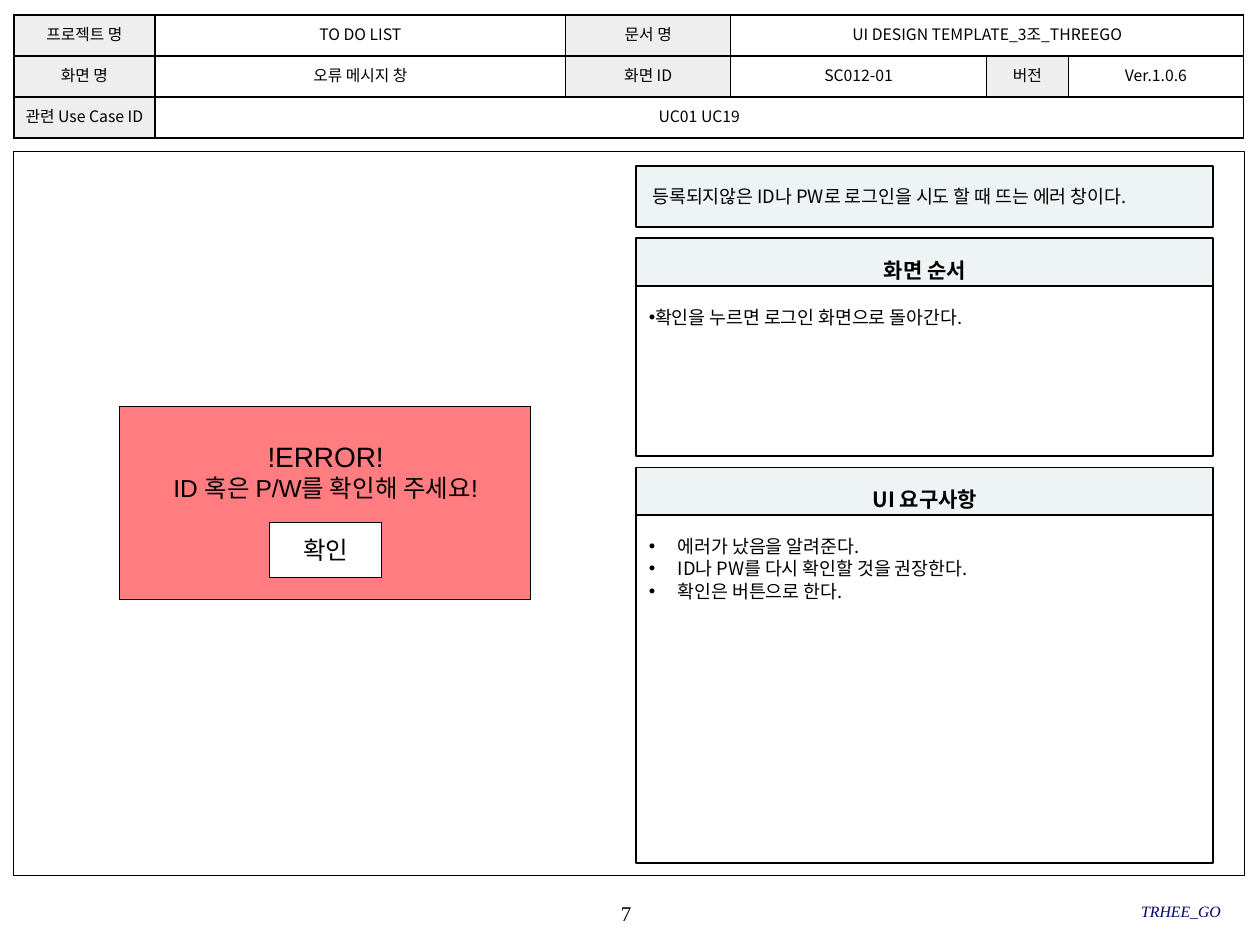
"""Build the UI design sheet for the login error message window."""
from dataclasses import dataclass

from lxml import etree
from pptx import Presentation
from pptx.dml.color import RGBColor
from pptx.enum import shapes, text
from pptx.oxml import ns
from pptx.util import Inches, Pt


@dataclass(frozen=True)
class Theme:
    black: str = "000000"
    white: str = "FFFFFF"
    label: str = "EEEEEE"
    header: str = "EEF4F4"
    error: str = "FF7C80"
    footer: str = "000066"
    korean: str = "Noto Sans CJK KR"
    latin: str = "Arial"
    serif: str = "Times New Roman"
    small: float = 9
    body: float = 10.5
    heading: float = 12
    button: float = 14
    alert: float = 16


theme = Theme()
align = text.PP_ALIGN
anchor = text.MSO_ANCHOR


def write(frame, lines, size, font=theme.korean, color=theme.black, alignment=align.CENTER,
          vertical=anchor.MIDDLE, margins=(0.1, 0.05, 0.1, 0.05), bold=False, italic=False):
    frame.text = "\n".join(lines)
    frame.word_wrap = True
    frame.auto_size = text.MSO_AUTO_SIZE.NONE
    frame.vertical_anchor = vertical
    frame.margin_left, frame.margin_top, frame.margin_right, frame.margin_bottom = map(Inches, margins)
    for paragraph in frame.paragraphs:
        paragraph.alignment = alignment
        paragraph.space_before = Pt(0)
        paragraph.line_spacing = Pt(1.2 * size)
        paragraph.font.size = Pt(size)
        paragraph.font.bold = bold
        paragraph.font.italic = italic
        paragraph.font.color.rgb = RGBColor.from_string(color)
        paragraph.font.name = font
        properties = paragraph._p.pPr.find(ns.qn("a:defRPr"))
        etree.SubElement(properties, ns.qn("a:ea"), typeface=theme.korean)


def paint(shape, fill, width):
    if fill:
        shape.fill.solid()
        shape.fill.fore_color.rgb = RGBColor.from_string(fill)
    else:
        shape.fill.background()
    shape.line.color.rgb = RGBColor.from_string(theme.black)
    shape.line.width = Pt(width)


presentation = Presentation()
presentation.slide_width = Inches(10)
presentation.slide_height = Inches(7.5)
slide = presentation.slides.add_slide(presentation.slide_layouts.get_by_name("Comparison"))
placeholders = {shape.placeholder_format.idx: shape for shape in slide.placeholders}

panel_left, panel_width, header_height = 5.05, 4.58, 0.38
header_margins = (0.1, 0.15, 0.1, 0.05)
list_margins = (0.1, 0.16, 0.1, 0.05)

description = placeholders[0]
description.left, description.top = Inches(panel_left), Inches(1.32)
description.width, description.height = Inches(panel_width), Inches(0.48)
paint(description, theme.header, 1)
write(description.text_frame, ["등록되지않은 ID나 PW로 로그인을 시도 할 때 뜨는 에러 창이다."], theme.body,
      alignment=align.JUSTIFY, vertical=anchor.TOP, margins=(0.13, 0.15, 0.1, 0.05))

panels = [
    (1, 1.89, 1.35, 0, "화면 순서", ["확인을 누르면 로그인 화면으로 돌아간다."]),
    (3, 3.71, 2.76, 0.23, "UI 요구사항",
     ["에러가 났음을 알려준다.", "ID나 PW를 다시 확인할 것을 권장한다.", "확인은 버튼으로 한다."]),
]
for index, top, list_height, indent, heading, items in panels:
    header, content = placeholders[index], placeholders[index + 1]
    places = [(header, top, header_height, theme.header),
              (content, top + header_height, list_height, theme.white)]
    for shape, shape_top, height, fill in places:
        shape.left, shape.top = Inches(panel_left), Inches(shape_top)
        shape.width, shape.height = Inches(panel_width), Inches(height)
        paint(shape, fill, 1)
    write(header.text_frame, [heading], theme.heading, vertical=anchor.TOP,
          margins=header_margins, bold=True)
    write(content.text_frame, items, theme.body, alignment=align.JUSTIFY,
          vertical=anchor.TOP, margins=list_margins)
    for paragraph in content.text_frame.paragraphs:
        properties = paragraph._p.get_or_add_pPr()
        properties.set("marL", str(Inches(indent)))
        properties.set("indent", str(-Inches(indent)))

boxes = [
    ((0.11, 1.2, 9.77, 5.75), None, 0.75, None),
    ((0.95, 3.23, 3.26, 1.53), theme.error, 0.5, None),
    ((2.14, 4.15, 0.89, 0.43), theme.white, 0.5, "확인"),
]
for place, fill, width, caption in boxes:
    box = slide.shapes.add_shape(shapes.MSO_SHAPE.RECTANGLE, *map(Inches, place))
    box.shadow.inherit = False
    paint(box, fill, width)
    if caption:
        write(box.text_frame, [caption], theme.button)

message = slide.shapes.add_textbox(Inches(1.11), Inches(3.44), Inches(2.95), Inches(0.61))
write(message.text_frame, ["!ERROR!", "ID 혹은 P/W를 확인해 주세요!"], theme.button,
      theme.latin, vertical=anchor.TOP)
alert = message.text_frame.paragraphs[0]
alert.font.size = Pt(theme.alert)
alert.line_spacing = Pt(1.2 * theme.alert)

page_number = slide.shapes.add_textbox(Inches(3.93), Inches(7.08), Inches(2.08), Inches(0.33))
write(page_number.text_frame, ["7"], theme.heading, theme.serif, margins=(0, 0, 0, 0))
team = slide.shapes.add_textbox(Inches(6.63), Inches(7.07), Inches(3.06), Inches(0.33))
write(team.text_frame, ["TRHEE_GO"], theme.small, theme.serif, theme.footer, align.RIGHT,
      margins=(0, 0, 0, 0), italic=True)

rows = [
    ["프로젝트 명", "TO DO LIST", "문서 명", "UI DESIGN TEMPLATE_3조_THREEGO", "", ""],
    ["화면 명", "오류 메시지 창", "화면 ID", "SC012-01", "버전", "Ver.1.0.6"],
    ["관련 Use Case ID", "UC01 UC19", "", "", "", ""],
]
labels = {"프로젝트 명", "문서 명", "화면 명", "화면 ID", "버전", "관련 Use Case ID"}
table = slide.shapes.add_table(3, 6, Inches(0.11), Inches(0.12), Inches(9.77), Inches(0.98)).table
table.first_row = table.horz_banding = False
for column, width in zip(table.columns, (1.12, 3.26, 1.31, 2.03, 0.65, 1.39)):
    column.width = Inches(width)
for row, values in zip(table.rows, rows):
    row.height = Inches(0.325)
    for cell, value in zip(row.cells, values):
        write(cell.text_frame, [value], theme.small)
        cell.vertical_anchor = anchor.MIDDLE
        cell.margin_left = cell.margin_right = Inches(0.04)
        cell.margin_top = cell.margin_bottom = Inches(0.02)
        properties = cell._tc.get_or_add_tcPr()
        for side in ("lnL", "lnR", "lnT", "lnB"):
            border = etree.SubElement(properties, ns.qn(f"a:{side}"), w=str(Pt(1)))
            fill = etree.SubElement(border, ns.qn("a:solidFill"))
            etree.SubElement(fill, ns.qn("a:srgbClr"), val=theme.black)
        cell.fill.solid()
        cell.fill.fore_color.rgb = RGBColor.from_string(theme.label if value in labels else theme.white)
table.cell(0, 3).merge(table.cell(0, 5))
table.cell(2, 1).merge(table.cell(2, 5))

presentation.save("out.pptx")
